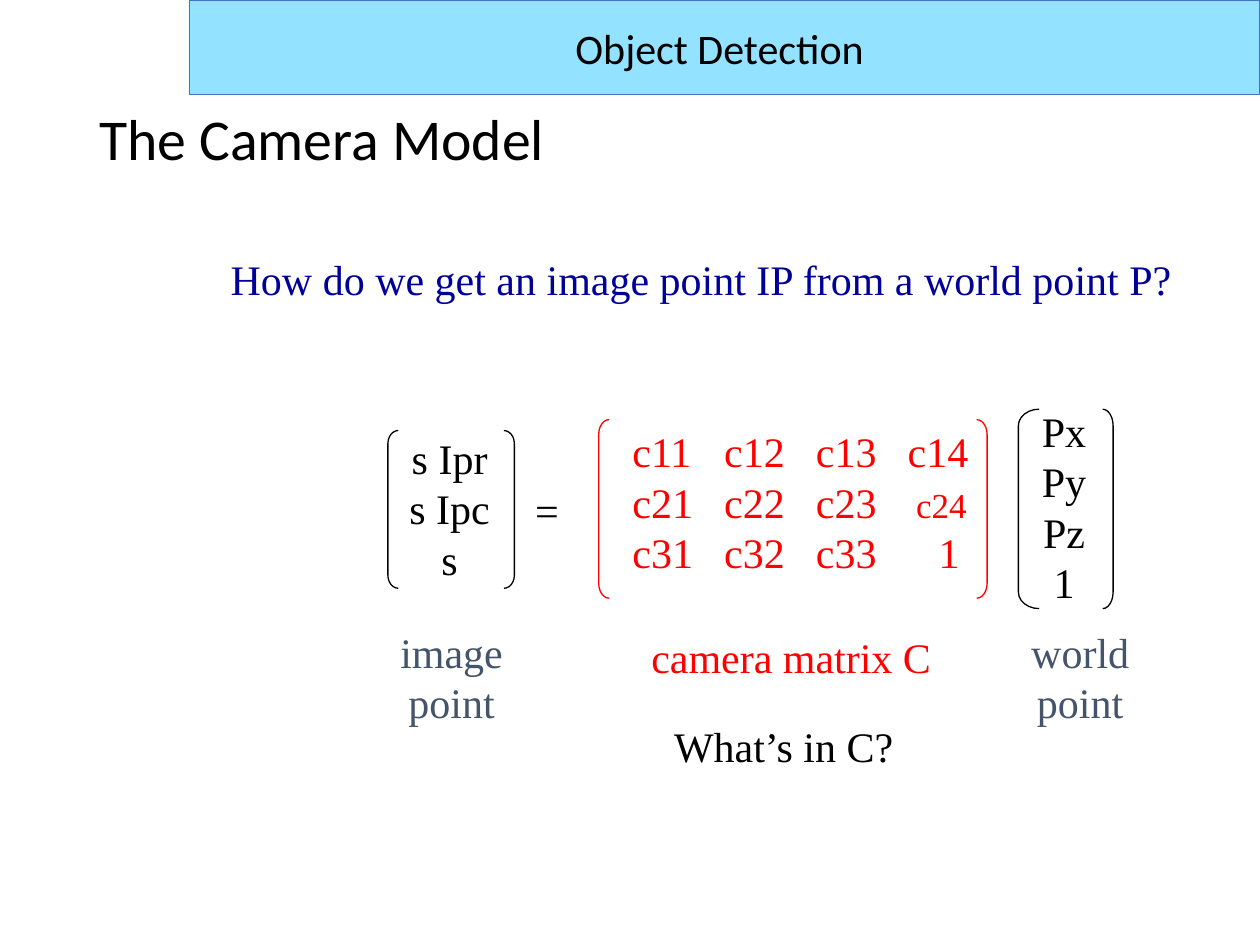
from lxml import etree
from pptx import Presentation
from pptx import util as u
from pptx.dml.color import RGBColor
from pptx.enum import shapes, text
from pptx.oxml.ns import qn

BLACK, RED, NAVY, SLATE = "000000", "FF0000", "000099", "44546A"
LEFT, CENTER = text.PP_ALIGN.LEFT, text.PP_ALIGN.CENTER
SERIF, SANS = "Times New Roman", "Calibri"


def colour(value):
    return RGBColor.from_string(value)


def box(*lengths):
    return [u.Cm(n) for n in lengths]


class CameraSlide:
    """Holds the text style and the slide being filled."""

    size = 24

    def __init__(self, deck):
        self.slide = deck.slides.add_slide(deck.slide_layouts[6])

    def style(self, paragraph, hue, font=SERIF, size=None, align=LEFT):
        paragraph.alignment = align
        paragraph.font.name = font
        paragraph.font.size = u.Pt(size or self.size)
        paragraph.font.color.rgb = colour(hue)

    def label(self, place, lines, hue=BLACK, align=LEFT):
        frame = self.slide.shapes.add_textbox(*box(*place)).text_frame
        frame.word_wrap = False
        frame.text = "\n".join(lines)
        for paragraph in frame.paragraphs:
            self.style(paragraph, hue, align=align)
        return frame

    def title(self, place, wording):
        frame = self.label(place, [wording])
        frame.word_wrap = True
        frame.vertical_anchor = text.MSO_ANCHOR.MIDDLE
        frame.paragraphs[0].line_spacing = 0.9
        self.style(frame.paragraphs[0], BLACK, SANS, 33)

    def matrix(self, place, rows, column, last_stops):
        """Rows of entries on tab stops; the last stop differs by row."""
        frame = self.label(place, ["\t".join(row) for row in rows], RED)
        frame.word_wrap = True
        for paragraph, last in zip(frame.paragraphs, last_stops):
            stops = etree.Element(qn("a:tabLst"))
            for stop in (column, 2 * column, last):
                etree.SubElement(stops, qn("a:tab"), pos=str(u.Cm(stop)), algn="l")
            properties = paragraph._p.get_or_add_pPr()
            properties.insert(0, stops)
        return frame

    def bracket(self, kind, place, hue):
        shape = self.slide.shapes.add_shape(kind, *box(*place))
        shape.shadow.inherit = False
        shape.fill.background()
        shape.line.color.rgb = colour(hue)
        shape.line.width = u.Pt(0.75)
        # Corner height is a twelfth of the bracket
        shape.adjustments[0] = place[3] / place[2] / 12

    def brackets(self, left, right, top, height, hue=BLACK, left_width=0.21):
        kinds = shapes.MSO_SHAPE
        self.bracket(kinds.LEFT_BRACKET, (left, top, left_width, height), hue)
        self.bracket(kinds.RIGHT_BRACKET, (right, top, 0.21, height), hue)

    def banner(self, place, wording):
        shape = self.slide.shapes.add_shape(shapes.MSO_SHAPE.RECTANGLE, *box(*place))
        shape.shadow.inherit = False
        shape.fill.solid()
        shape.fill.fore_color.rgb = colour("93E2FF")
        shape.line.color.rgb = colour("4472C4")
        shape.line.width = u.Pt(0.5)
        frame = shape.text_frame
        frame.vertical_anchor = text.MSO_ANCHOR.MIDDLE
        frame.text = wording
        self.style(frame.paragraphs[0], BLACK, SANS, align=CENTER)


def main():
    deck = Presentation()
    deck.slide_width, deck.slide_height = box(25.4, 19.05)
    page = CameraSlide(deck)

    # Heading and question
    page.title((1.75, 1.02, 21.9, 3.68), "The Camera Model")
    page.label((4.4, 4.98, 19.5, 1.27),
               ["How do we get an image point IP from a world point P?"], NAVY)

    # Camera matrix and the two vectors
    rows = [["c11", "c12", "c13", "c14"],
            ["c21", "c22", "c23", "c24"],
            ["c31", "c32", "c33", "1"]]
    camera = page.matrix((12.5, 8.46, 7.5, 3.3), rows, 1.85, (5.55, 5.72, 6.17))
    second_row = camera.paragraphs[1]
    second_row.text = "\t".join(rows[1][:3]) + "\t"
    small_entry = second_row.add_run()
    small_entry.text = rows[1][3]
    small_entry.font.size = u.Pt(20)
    page.label((8, 8.59, 2.13, 3.3), ["s Ipr", "s Ipc", "s"], align=CENTER)
    page.label((20.75, 8.05, 1.4, 4.32), ["Px", "Py", "Pz", "1"], align=CENTER)

    # Brackets
    page.brackets(12.07, 19.69, 8.46, 3.6, RED)
    page.brackets(7.82, 10.16, 8.68, 3.18)
    page.brackets(20.53, 22.23, 8.25, 4.02, left_width=0.42)
    page.label((10.54, 9.65, 0.99, 1.27), ["="])

    # Captions
    page.label((7.82, 12.5, 2.57, 2.29), ["image", "point"], SLATE, CENTER)
    page.label((12.88, 12.6, 6.15, 1.27), ["camera matrix C"], RED)
    page.label((20.53, 12.5, 2.49, 2.29), ["world", "point"], SLATE, CENTER)
    page.label((13.34, 14.4, 4.98, 1.27), ["What’s in C?"])

    # Banner
    page.banner((3.81, 0, 21.59, 1.91), "Object Detection ")

    deck.save("out.pptx")


if __name__ == "__main__":
    main()
